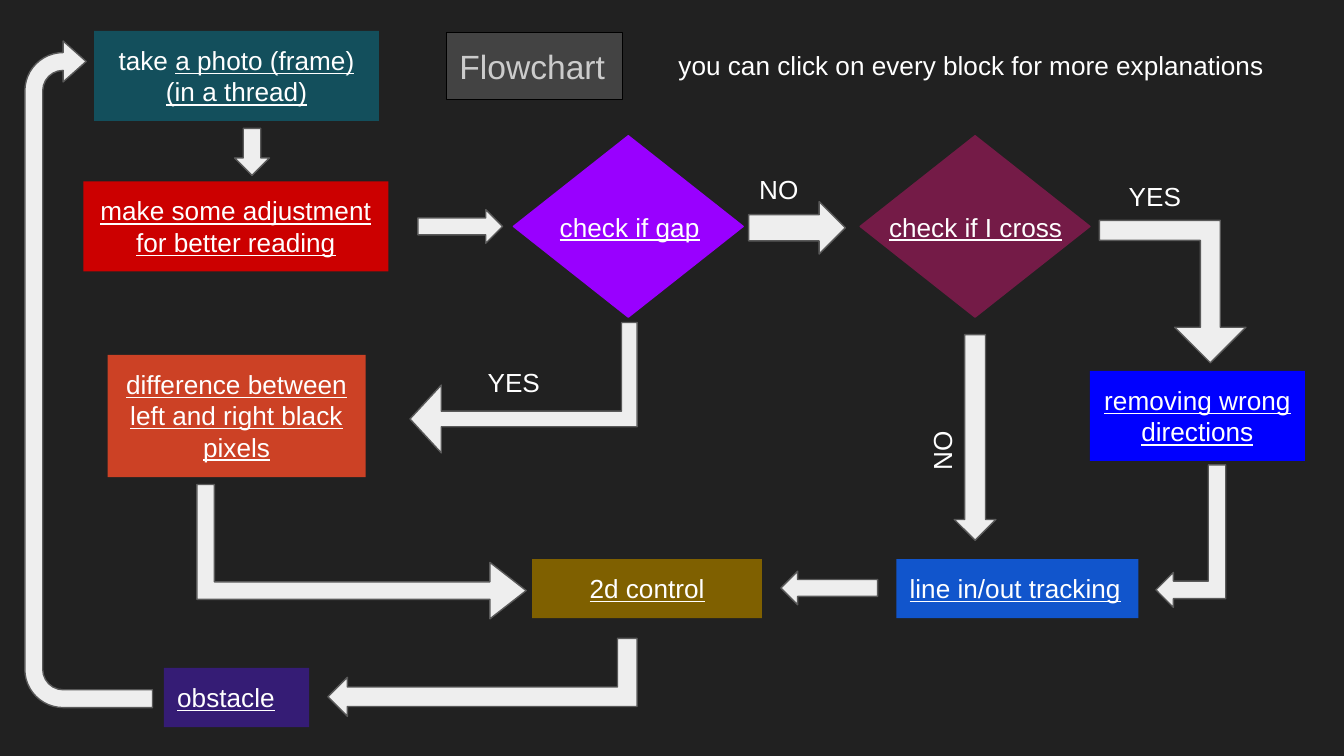
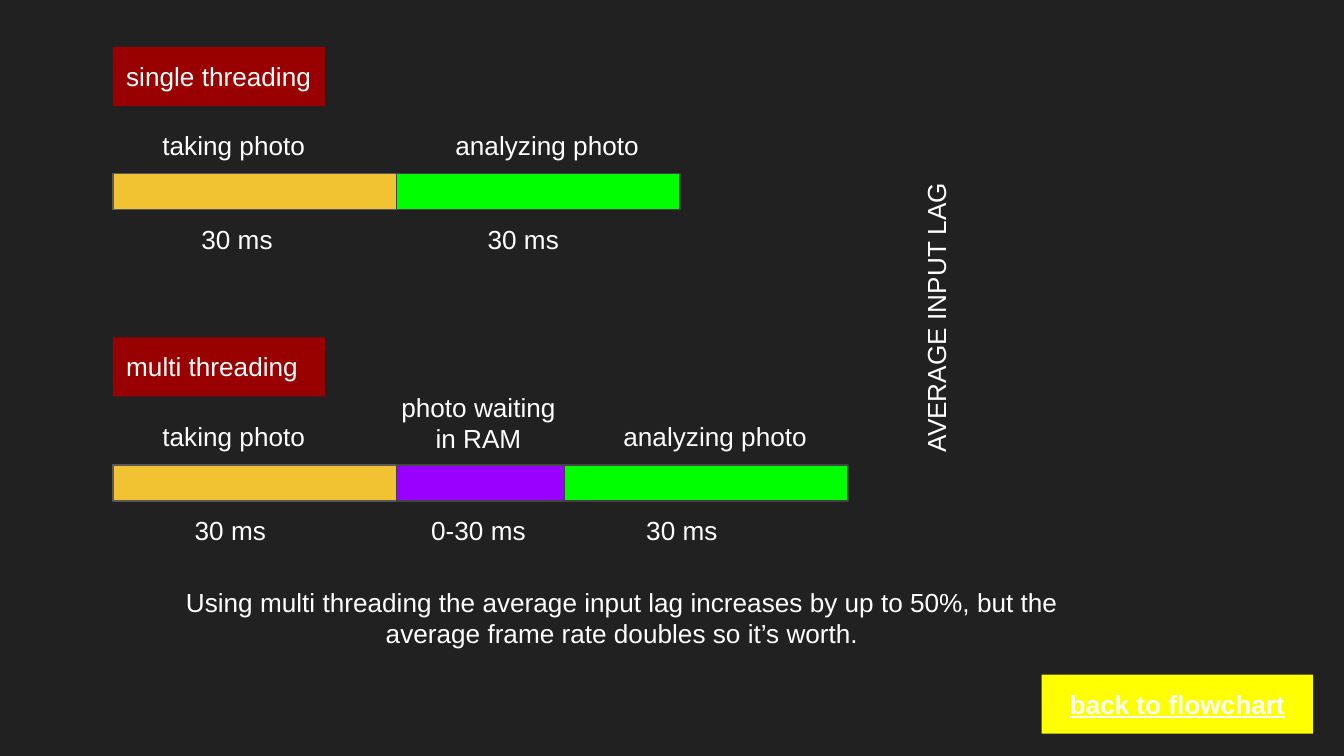
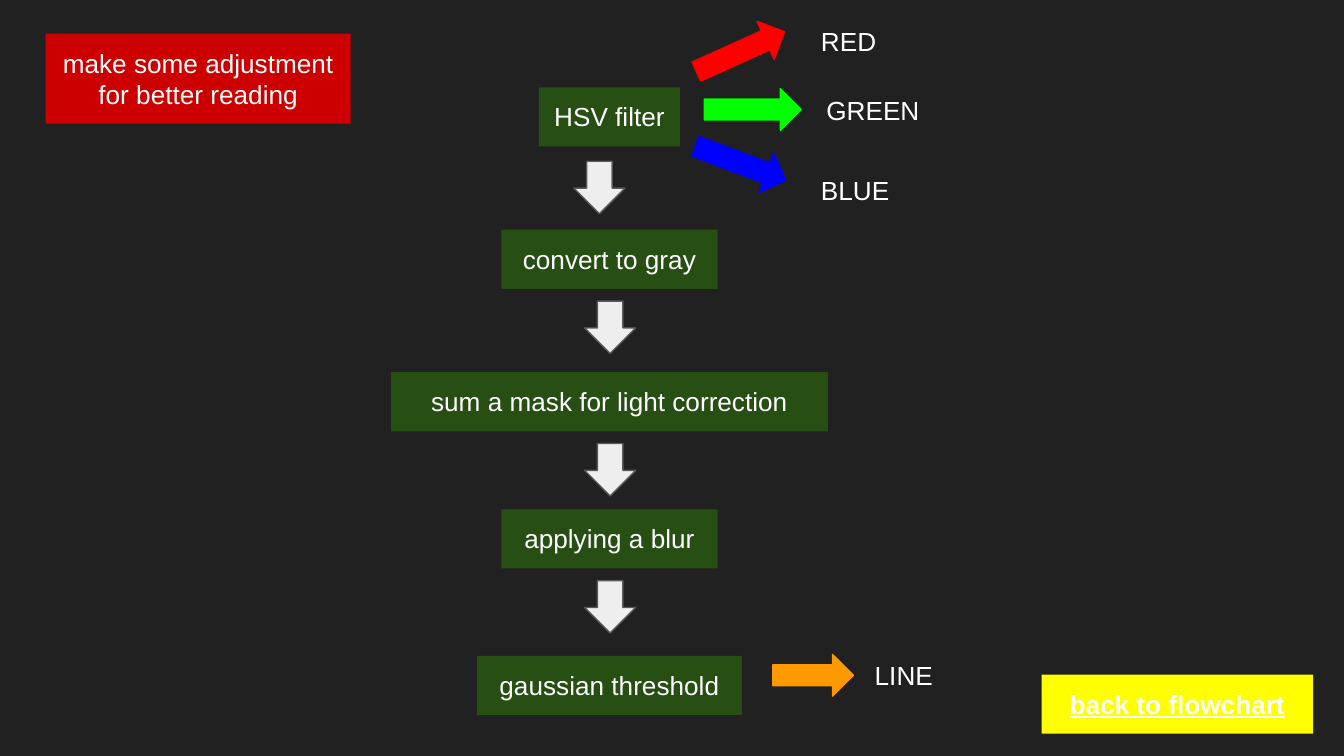
from dataclasses import dataclass
from itertools import accumulate

from pptx import Presentation
from pptx.dml.color import RGBColor as Rgb
from pptx.enum.shapes import MSO_SHAPE as Preset
from pptx.enum.text import MSO_ANCHOR as Anchor
from pptx.enum.text import MSO_AUTO_SIZE as AutoSize
from pptx.enum.text import PP_ALIGN as Align
from pptx.presentation import Presentation as Deck
from pptx.shapes.autoshape import Shape
from pptx.slide import Slide
from pptx.util import Emu, Pt

EMU_PER_PX = 4572
SLIDE_WIDTH, SLIDE_HEIGHT = 2000, 1125
ONE_LINE, TWO_LINES, THREE_LINES = 88, 134, 182


@dataclass(frozen=True)
class Theme:
    font: str = "Arial"
    body_pt: int = 14
    title_pt: int = 18
    line_pt: float = 0.75
    inset: int = 20
    background: str = "212121"
    text: str = "FFFFFF"
    title_text: str = "CCCCCC"
    title_fill: str = "434343"
    title_line: str = "000000"
    arrow: str = "EEEEEE"
    arrow_line: str = "595959"
    bar_line: str = "434343"
    photo: str = "134F5C"
    adjustment: str = "CC0000"
    difference: str = "CC4125"
    tracking: str = "1155CC"
    directions: str = "0000FF"
    control: str = "7F6000"
    obstacle: str = "351C75"
    gap: str = "9900FF"
    crossing: str = "741B47"
    threading: str = "990000"
    taking: str = "F1C232"
    waiting: str = "9900FF"
    analyzing: str = "00FF00"
    step: str = "274E13"
    red: str = "FF0000"
    green: str = "00FF00"
    blue: str = "0000FF"
    orange: str = "FF9900"
    button: str = "FFFF00"


THEME = Theme()


@dataclass(frozen=True)
class Span:
    text: str
    underline: bool = False
    bold: bool = False
    break_after: bool = False


@dataclass(frozen=True)
class Label:
    spans: tuple[Span, ...]
    left: int
    top: int
    width: int
    height: int = ONE_LINE
    fill: str | None = None
    line: str | None = None
    centered: bool = False
    rotation: int = 0
    size_pt: int = THEME.body_pt
    color: str = THEME.text


@dataclass(frozen=True)
class Figure:
    preset: Preset
    left: int
    top: int
    width: int
    height: int
    fill: str = THEME.arrow
    line: str = THEME.arrow_line
    rotation: float = 0
    flipped: bool = False
    adjustments: tuple[float, ...] = ()


@dataclass(frozen=True)
class Stage:
    fill: str
    line: str
    width: int


def px(length: int) -> Emu:
    return Emu(length * EMU_PER_PX)


def plain(text: str) -> tuple[Span, ...]:
    return (Span(text),)


def linked(text: str) -> tuple[Span, ...]:
    return (Span(text, underline=True),)


def paint(shape: Shape, fill: str | None, line: str | None) -> None:
    if fill:
        shape.fill.solid()
        shape.fill.fore_color.rgb = Rgb.from_string(fill)
    else:
        shape.fill.background()
    if line:
        shape.line.color.rgb = Rgb.from_string(line)
        shape.line.width = Pt(THEME.line_pt)
    else:
        shape.line.fill.background()


def draw_label(slide: Slide, label: Label) -> None:
    frame = [px(n) for n in (label.left, label.top, label.width, label.height)]
    if label.fill:
        shape = slide.shapes.add_shape(Preset.RECTANGLE, *frame)
        shape.shadow.inherit = False
    else:
        shape = slide.shapes.add_textbox(*frame)
    paint(shape, label.fill, label.line)
    shape.rotation = label.rotation
    body = shape.text_frame
    body.word_wrap = True
    body.auto_size = AutoSize.SHAPE_TO_FIT_TEXT
    body.vertical_anchor = Anchor.TOP
    body.margin_left = body.margin_right = px(THEME.inset)
    body.margin_top = body.margin_bottom = px(THEME.inset)
    paragraph = body.paragraphs[0]
    paragraph.alignment = Align.CENTER if label.centered else Align.LEFT
    for span in label.spans:
        run = paragraph.add_run()
        run.text = span.text
        run.font.name = THEME.font
        run.font.size = Pt(label.size_pt)
        run.font.color.rgb = Rgb.from_string(label.color)
        run.font.underline = span.underline
        run.font.bold = span.bold
        if span.break_after:
            paragraph.add_line_break()


def draw_figure(slide: Slide, figure: Figure) -> None:
    shape = slide.shapes.add_shape(
        figure.preset, px(figure.left), px(figure.top), px(figure.width), px(figure.height)
    )
    shape.shadow.inherit = False
    paint(shape, figure.fill, figure.line)
    shape.rotation = figure.rotation
    if figure.flipped:
        shape.element.spPr.xfrm.set("flipH", "1")
    for index, value in enumerate(figure.adjustments):
        shape.adjustments[index] = value


def add_slide(deck: Deck) -> Slide:
    slide = deck.slides.add_slide(deck.slide_layouts[6])
    slide.background.fill.solid()
    slide.background.fill.fore_color.rgb = Rgb.from_string(THEME.background)
    return slide


def draw_back_button(slide: Slide) -> None:
    caption = (Span("back to flowchart", underline=True, bold=True),)
    draw_label(slide, Label(caption, 1550, 1004, 404, fill=THEME.button, centered=True))


def draw_timeline(slide: Slide, top: int, stages: list[Stage]) -> None:
    lefts = accumulate((stage.width for stage in stages), initial=168)
    for left, stage in zip(lefts, stages):
        draw_figure(
            slide,
            Figure(Preset.RECTANGLE, left, top, stage.width, 54, stage.fill, stage.line),
        )


def build_flowchart(deck: Deck) -> None:
    slide = add_slide(deck)
    photo = (
        Span("take "),
        Span("a photo (frame)", underline=True, break_after=True),
        Span("(in a thread)", underline=True),
    )
    adjustment = linked("make some adjustment for better reading")
    difference = linked("difference between left and right black pixels")
    directions = linked("removing wrong directions")
    blocks = [
        Label(plain("Flowchart"), 664, 48, 262, 100, THEME.title_fill, THEME.title_line,
              size_pt=THEME.title_pt, color=THEME.title_text),
        Label(photo, 140, 46, 424, TWO_LINES, THEME.photo, centered=True),
        Label(adjustment, 124, 270, 454, TWO_LINES, THEME.adjustment, centered=True),
        Label(difference, 160, 528, 384, THREE_LINES, THEME.difference, centered=True),
        Label(linked("line in/out tracking"), 1334, 832, 360, fill=THEME.tracking),
        Label(directions, 1622, 552, 320, TWO_LINES, THEME.directions, centered=True),
        Label(linked("2d control"), 792, 832, 342, fill=THEME.control, centered=True),
        Label(linked("obstacle"), 244, 994, 216, fill=THEME.obstacle),
    ]
    decisions = [
        Figure(Preset.DIAMOND, 764, 202, 342, 270, THEME.gap, THEME.gap),
        Figure(Preset.DIAMOND, 1280, 202, 342, 270, THEME.crossing, THEME.crossing),
    ]
    straight_arrows = [
        Figure(Preset.RIGHT_ARROW, 340, 200, 70, 52, rotation=90),
        Figure(Preset.RIGHT_ARROW, 622, 312, 126, 50),
        Figure(Preset.RIGHT_ARROW, 1114, 300, 144, 78),
        Figure(Preset.UP_ARROW, 1420, 498, 62, 306, rotation=180),
        Figure(Preset.LEFT_ARROW, 1162, 850, 144, 50),
    ]
    bent_arrows = [
        Figure(Preset.BENT_UP_ARROW, 682, 408, 194, 338, rotation=270, flipped=True,
               adjustments=(0.12, 0.26, 0.24)),
        Figure(Preset.BENT_UP_ARROW, 1636, 328, 218, 212, rotation=180, flipped=True,
               adjustments=(0.14, 0.25, 0.25)),
        Figure(Preset.BENT_UP_ARROW, 1666, 746, 212, 104, rotation=270, flipped=True),
        Figure(Preset.BENT_UP_ARROW, 438, 576, 200, 490, rotation=90,
               adjustments=(0.13, 0.21, 0.27)),
        Figure(Preset.BENT_UP_ARROW, 660, 778, 116, 460, rotation=270, flipped=True),
        Figure(Preset.U_TURN_ARROW, -364, 462, 992, 190, rotation=270,
               adjustments=(0.14, 0.16, 0.18, 0.44, 0.48)),
    ]
    captions = [
        Label(linked("check if gap"), 792, 294, 290, centered=True),
        Label(linked("check if I cross"), 1292, 294, 320, centered=True),
        Label(plain("NO"), 1110, 238, 104),
        Label(plain("YES"), 706, 526, 126),
        Label(plain("YES"), 1660, 248, 168),
        Label(plain("NO"), 1344, 618, 116, rotation=270),
        Label(plain("you can click on every block for more explanations"), 990, 54, 926),
    ]
    for block in blocks:
        draw_label(slide, block)
    for figure in decisions + straight_arrows + bent_arrows:
        draw_figure(slide, figure)
    for caption in captions:
        draw_label(slide, caption)


def build_threading(deck: Deck) -> None:
    slide = add_slide(deck)
    taking = Stage(THEME.taking, THEME.arrow_line, 422)
    waiting = Stage(THEME.waiting, THEME.bar_line, 250)
    analyzing = Stage(THEME.analyzing, THEME.bar_line, 422)
    draw_timeline(slide, 258, [taking, analyzing])
    draw_timeline(slide, 692, [taking, waiting, analyzing])

    conclusion = plain(
        "Using multi threading the average input lag increases by up to 50%, "
        "but the average frame rate doubles so it’s worth."
    )
    labels = [
        Label(plain("single threading"), 168, 70, 316, fill=THEME.threading),
        Label(plain("multi threading"), 168, 502, 316, fill=THEME.threading),
        Label(plain("taking photo"), 222, 172, 296),
        Label(plain("analyzing photo"), 658, 172, 316),
        Label(plain("taking photo"), 222, 606, 296),
        Label(plain("photo waiting in RAM"), 564, 562, 296, TWO_LINES, centered=True),
        Label(plain("analyzing photo"), 908, 606, 316),
        Label(plain("30 ms"), 280, 312, 218),
        Label(plain("30 ms"), 706, 312, 218),
        Label(plain("30 ms"), 270, 746, 218),
        Label(plain("0-30 ms"), 622, 746, 218),
        Label(plain("30 ms"), 942, 746, 218),
        Label(conclusion, 192, 852, 1468, TWO_LINES, centered=True),
        Label(plain("AVERAGE INPUT LAG"), 1168, 424, 450, rotation=270),
    ]
    for label in labels:
        draw_label(slide, label)
    draw_back_button(slide)


def build_adjustment(deck: Deck) -> None:
    slide = add_slide(deck)
    heading = plain("make some adjustment for better reading")
    draw_label(slide, Label(heading, 68, 50, 454, TWO_LINES, THEME.adjustment, centered=True))

    axis = 907
    steps = [
        ("HSV filter", 130, 210),
        ("convert to gray", 342, 322),
        ("sum a mask for light correction", 554, 650),
        ("applying a blur", 758, 322),
        ("gaussian threshold", 976, 394),
    ]
    for text, top, width in steps:
        left = axis - width // 2
        draw_label(slide, Label(plain(text), left, top, width, fill=THEME.step, centered=True))
    for left, top in [(854, 240), (870, 448), (870, 660), (870, 864)]:
        draw_figure(slide, Figure(Preset.DOWN_ARROW, left, top, 76, 78))

    outputs = [
        (THEME.red, 1030, 46, 144, 335.7, Label(plain("RED"), 1202, 18, 312)),
        (THEME.green, 1048, 132, 144, 0, Label(plain("GREEN"), 1210, 120, 226)),
        (THEME.blue, 1030, 212, 144, 20.6, Label(plain("BLUE"), 1202, 240, 210)),
        (THEME.orange, 1150, 974, 120, 0, Label(plain("LINE"), 1282, 962, 178)),
    ]
    for color, left, top, width, rotation, result in outputs:
        draw_figure(
            slide, Figure(Preset.RIGHT_ARROW, left, top, width, 62, color, color, rotation)
        )
        draw_label(slide, result)
    draw_back_button(slide)


def main() -> None:
    deck = Presentation()
    deck.slide_width, deck.slide_height = px(SLIDE_WIDTH), px(SLIDE_HEIGHT)
    build_flowchart(deck)
    build_threading(deck)
    build_adjustment(deck)
    deck.save("out.pptx")


if __name__ == "__main__":
    main()
